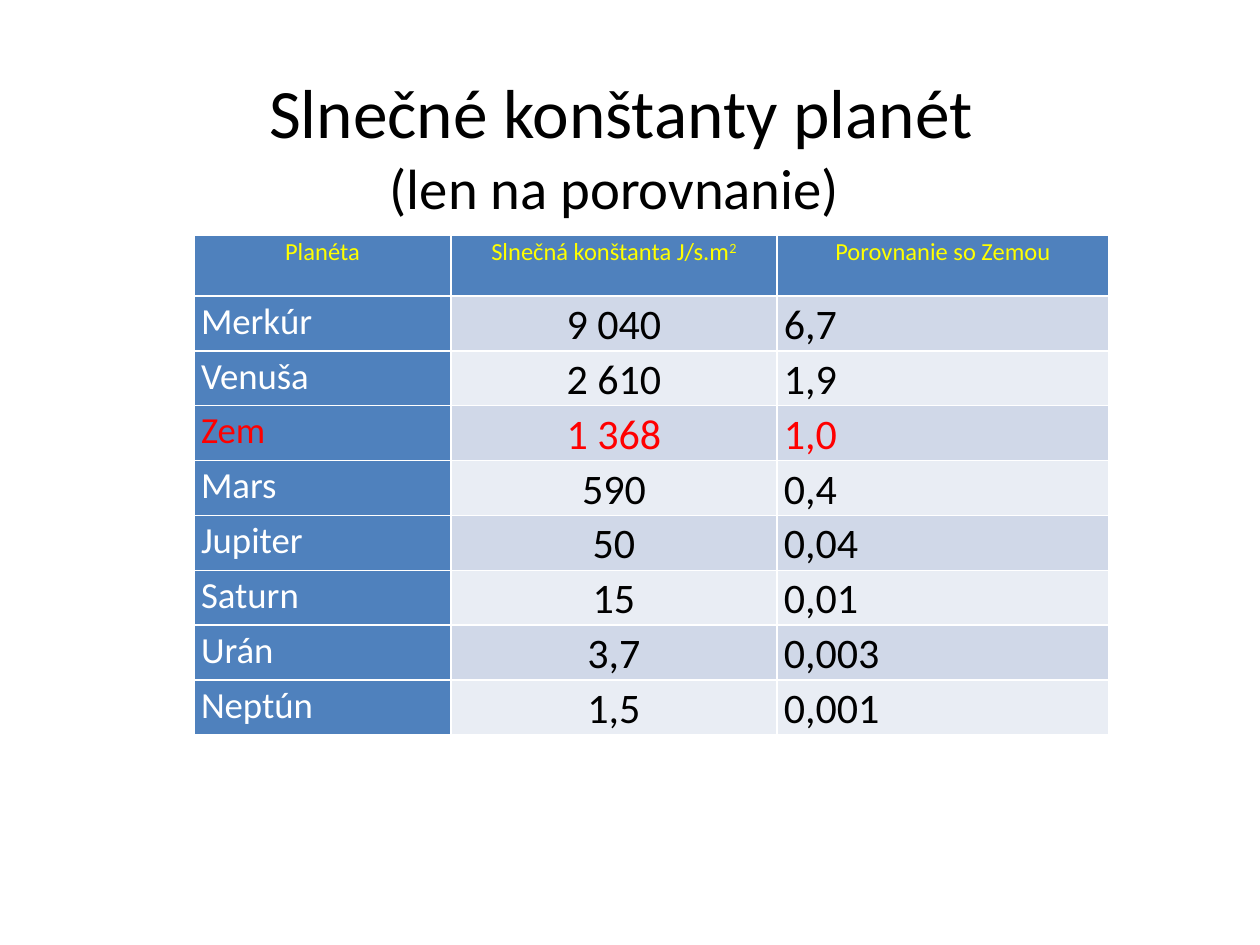
from pptx import Presentation, util as u
from pptx.dml.color import RGBColor
from pptx.enum import text

PX = 914400 // 126  # EMU in one px
COLORS = {"black": "000000", "white": "FFFFFF", "yellow": "FFFF00", "red": "FF0000",
          "blue": "4F81BD", "band_dark": "D0D8E8", "band_light": "E9EDF4"}

# Content
TITLE = [("Slnečné konštanty planét", 39.6), ("(len na porovnanie) ", 32.4)]
HEADER = ["Planéta", "Slnečná konštanta J/s.m²", "Porovnanie so Zemou"]
PLANETS = [
    ("Merkúr", "9 040", "6,7"),
    ("Venuša", "2 610", "1,9"),
    ("Zem", "1 368", "1,0"),
    ("Mars", "590", "0,4"),
    ("Jupiter", "50", "0,04"),
    ("Saturn", "15", "0,01"),
    ("Urán", "3,7", "0,003"),
    ("Neptún", "1,5", "0,001"),
]
HIGHLIGHTED = "Zem"

# Layout in px
TITLE_BOX = (54, 66, 1134, 158)
TABLE_LEFT, TABLE_TOP = 194, 235
COLUMN_WIDTHS = [257, 326, 332]
ROW_HEIGHTS = [61] + [54] * len(PLANETS)
CELL_MARGIN = 7


def px(*lengths):
    return [length * PX for length in lengths]


def rgb(name):
    return RGBColor.from_string(COLORS[name])


def add_run(paragraph, words, size, color, superscript=False):
    run = paragraph.add_run()
    run.text = words
    formats = {"name": "Calibri", "size": u.Pt(size), "bold": False}
    for attribute, value in formats.items():
        setattr(run.font, attribute, value)
    run.font.color.rgb = rgb(color)
    if superscript:
        run.font._element.set("baseline", "30000")


def cell_style(row, column, planet):
    """Return fill, font size, font colour and centring of a cell."""
    if row == 0:
        return "blue", 14, "yellow", True
    color = "red" if planet == HIGHLIGHTED else "white" if column == 0 else "black"
    if column == 0:
        return "blue", 21, color, False
    return ("band_dark" if row % 2 else "band_light"), 24, color, column == 1


presentation = Presentation()
presentation.slide_width, presentation.slide_height = u.Inches(10), u.Inches(7.5)
slide = presentation.slides.add_slide(presentation.slide_layouts[5])

# Title
title = slide.shapes.title
title.left, title.top, title.width, title.height = px(*TITLE_BOX)
title.text_frame.vertical_anchor = text.MSO_ANCHOR.MIDDLE
paragraph = title.text_frame.paragraphs[0]
paragraph.alignment = text.PP_ALIGN.CENTER
for index, (words, size) in enumerate(TITLE):
    if index:
        paragraph.add_line_break()
    add_run(paragraph, words, size, "black")

# Table
rows = [HEADER] + PLANETS
table = slide.shapes.add_table(
    len(rows), len(HEADER),
    *px(TABLE_LEFT, TABLE_TOP, sum(COLUMN_WIDTHS), sum(ROW_HEIGHTS))).table
table.first_col = True
for column, width in zip(table.columns, COLUMN_WIDTHS):
    column.width = width * PX
for row, height in zip(table.rows, ROW_HEIGHTS):
    row.height = height * PX

# Cells
margins = {"margin_left": CELL_MARGIN * PX, "margin_right": CELL_MARGIN * PX,
           "margin_top": 0, "margin_bottom": 0}
for row_index, values in enumerate(rows):
    for column_index, value in enumerate(values):
        fill, size, color, centred = cell_style(row_index, column_index, values[0])
        cell = table.cell(row_index, column_index)
        for attribute, margin in margins.items():
            setattr(cell, attribute, margin)
        cell.fill.solid()
        cell.fill.fore_color.rgb = rgb(fill)
        paragraph = cell.text_frame.paragraphs[0]
        paragraph.line_spacing = 1.07
        paragraph.alignment = text.PP_ALIGN.CENTER if centred else text.PP_ALIGN.LEFT
        base, square, _ = value.partition("²")
        add_run(paragraph, base, size, color)
        if square:
            add_run(paragraph, "2", size, color, superscript=True)

presentation.save("out.pptx")
